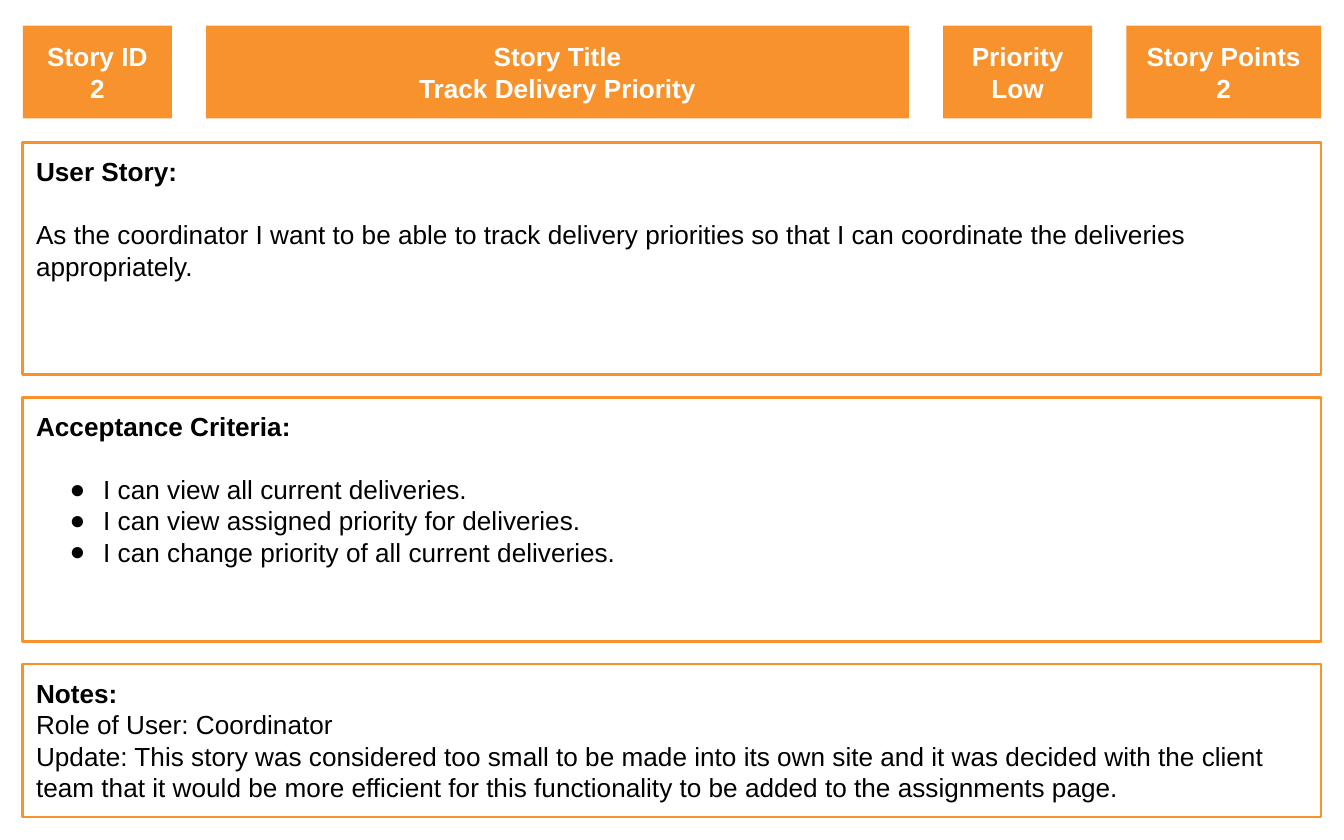
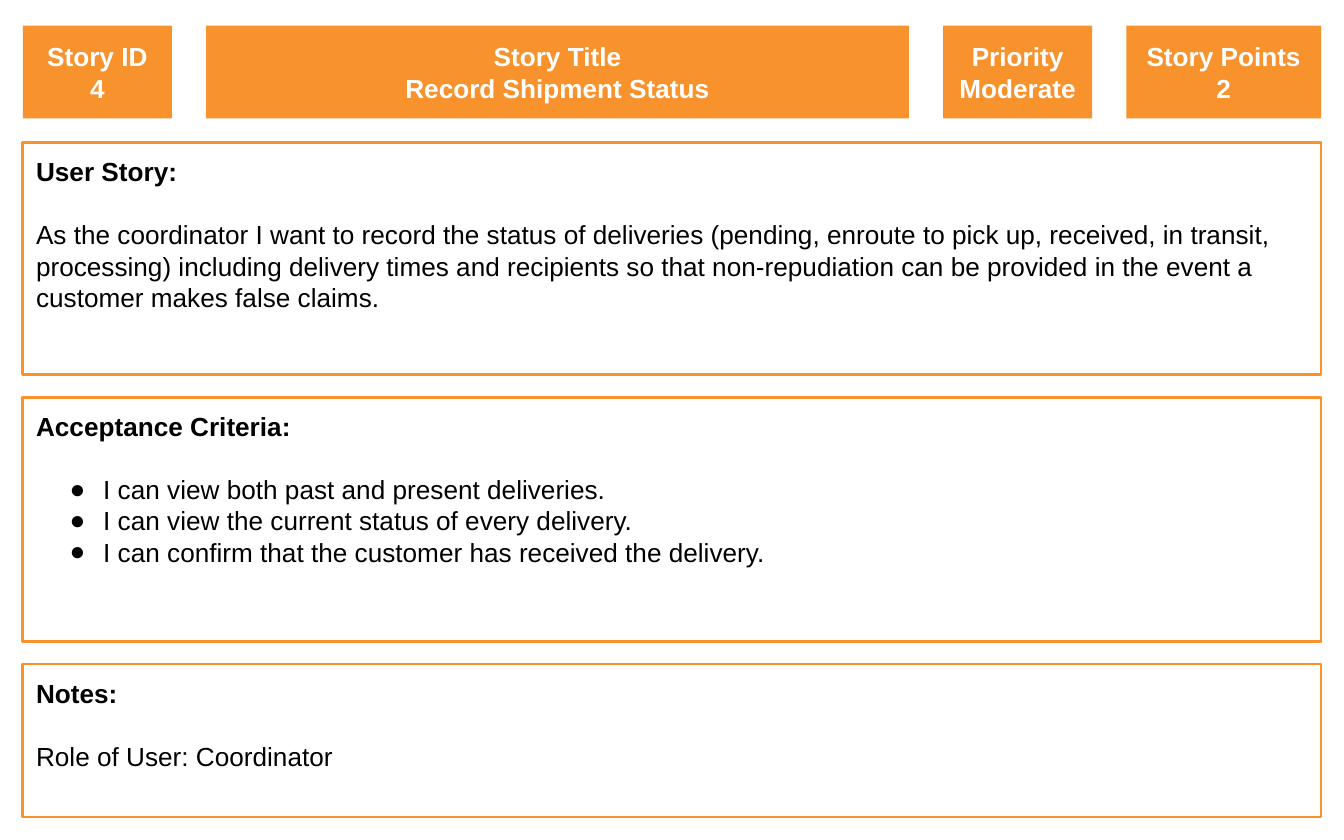
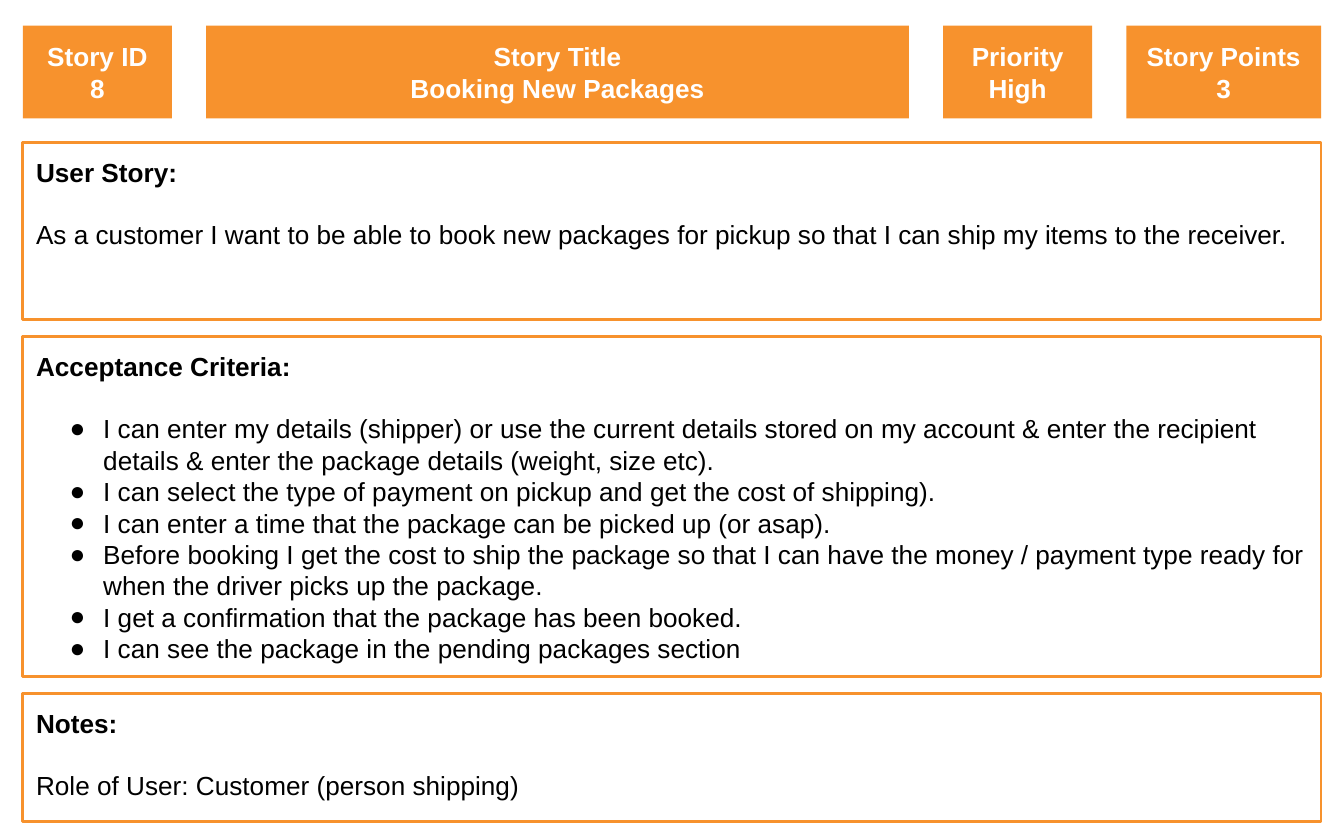
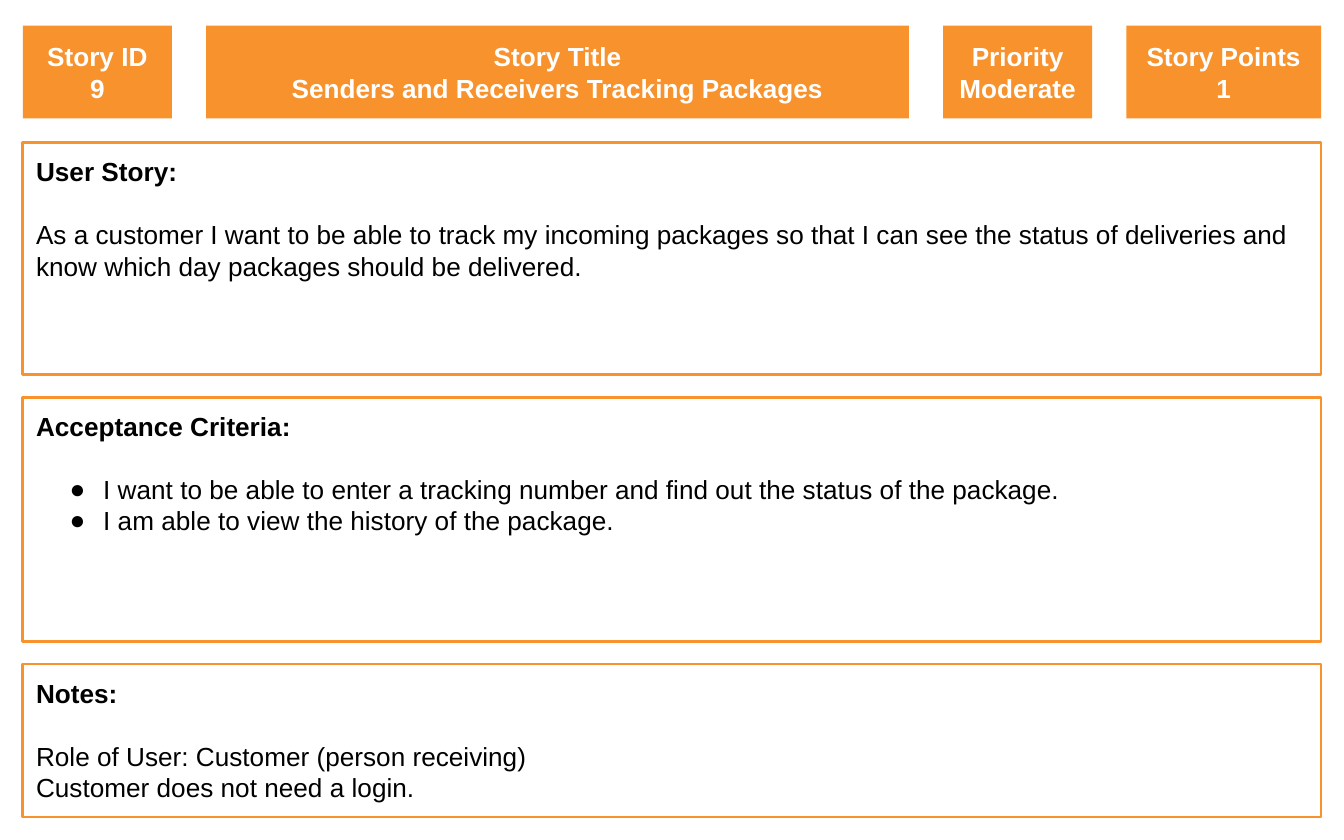
from lxml.etree import SubElement as Sub
from pptx import Presentation
from pptx.dml.color import RGBColor
from pptx.enum.shapes import MSO_SHAPE as Shape
from pptx.enum.text import MSO_ANCHOR as Anchor, PP_ALIGN as Align
from pptx.oxml.ns import qn
from pptx.util import Inches, Pt

ORANGE, WHITE, BLACK = "F7922D", "FFFFFF", "000000"
FONT, SIZE = "Arial", 14
LEFT, WIDTH = 0.17, 9.66
HEAD_TOP, HEAD_HIGH = 0.19, 0.69
BODY_TOP = 1.06
HEADS = [("Story ID", 1.11), ("Story Title", 5.23),
         ("Priority", 1.11), ("Story Points", 1.45)]
GAP = Pt(16.8)  # one line of text
EVEN = (1.73, 1.82, 1.14), 6.08
TALL = (1.32, 2.53, 0.95), 6.11

STORIES = [
    dict(
        heads=["2", "Track Delivery Priority", "Low", "2"],
        story="As the coordinator I want to be able to track delivery priorities "
              "so that I can coordinate the deliveries appropriately.",
        tests=["I can view all current deliveries.",
               "I can view assigned priority for deliveries.",
               "I can change priority of all current deliveries."],
        notes=["Role of User: Coordinator",
               "Update: This story was considered too small to be made into its own "
               "site and it was decided with the client team that it would be more "
               "efficient for this functionality to be added to the assignments page."],
        layout=EVEN, tight=True),
    dict(
        heads=["4", "Record Shipment Status", "Moderate", "2"],
        story="As the coordinator I want to record the status of deliveries (pending, "
              "enroute to pick up, received, in transit, processing) including "
              "delivery times and recipients so that non-repudiation can be provided "
              "in the event a customer makes false claims.",
        tests=["I can view both past and present deliveries.",
               "I can view the current status of every delivery.",
               "I can confirm that the customer has received the delivery."],
        notes=["Role of User: Coordinator"],
        layout=EVEN),
    dict(
        heads=["8", "Booking New Packages", "High", "3"],
        story="As a customer I want to be able to book new packages for pickup so "
              "that I can ship my items to the receiver.",
        tests=["I can enter my details (shipper) or use the current details stored on "
               "my account & enter the recipient details & enter the package details "
               "(weight, size etc).",
               "I can select the type of payment on pickup and get the cost of shipping).",
               "I can enter a time that the package can be picked up (or asap).",
               "Before booking I get the cost to ship the package so that I can have "
               "the money / payment type ready for when the driver picks up the package.",
               "I get a confirmation that the package has been booked.",
               "I can see the package in the pending packages section"],
        notes=["Role of User: Customer (person shipping)"],
        layout=TALL),
    dict(
        heads=["9", "Senders and Receivers Tracking Packages", "Moderate", "1"],
        story="As a customer I want to be able to track my incoming packages so that "
              "I can see the status of deliveries and know which day packages should "
              "be delivered.",
        tests=["I want to be able to enter a tracking number and find out the status "
               "of the package.",
               "I am able to view the history of the package."],
        notes=["Role of User: Customer (person receiving)",
               "Customer does not need a login."],
        layout=EVEN),
]


def color(code):
    return RGBColor.from_string(code)


def spread(start, sizes, end):
    """Yield (start, size) of each item, with equal gaps up to end."""
    gap = (end - start - sum(sizes)) / (len(sizes) - 1)
    for size in sizes:
        yield start, size
        start += size + gap


class Deck:
    """Holds the card style and the current slide."""

    def __init__(self):
        self.prs = Presentation()
        self.prs.slide_width, self.prs.slide_height = Inches(10), Inches(6.25)
        self.slide = None

    def page(self):
        self.slide = self.prs.slides.add_slide(self.prs.slide_layouts[6])

    def box(self, x, y, w, h, fill, anchor):
        """Draw a rectangle and return its text frame."""
        rect = self.slide.shapes.add_shape(
            Shape.RECTANGLE, Inches(x), Inches(y), Inches(w), Inches(h))
        rect.shadow.inherit = False
        rect.fill.solid()
        rect.fill.fore_color.rgb = color(fill)
        if fill == ORANGE:
            rect.line.fill.background()
        else:
            rect.line.color.rgb = color(ORANGE)
            rect.line.width = Pt(1.5)
        frame = rect.text_frame
        frame.word_wrap = True
        frame.vertical_anchor = anchor
        frame.margin_left = frame.margin_right = Inches(0.1)
        frame.margin_top = frame.margin_bottom = Inches(0.1)
        return frame

    def line(self, frame, text, ink, bold=False, align=Align.LEFT, gap=0, dot=False):
        """Write one paragraph, the first one into the empty frame."""
        first = frame.paragraphs[0]
        para = frame.add_paragraph() if first.runs else first
        if dot:
            self.bullet(para)
        para.alignment = align
        if gap:
            para.space_before = gap
        run = para.add_run()
        run.text = text
        run.font.name, run.font.size, run.font.bold = FONT, Pt(SIZE), bold
        run.font.color.rgb = color(ink)

    def bullet(self, para):
        props = para._p.get_or_add_pPr()
        props.set("marL", str(Inches(0.5)))
        props.set("indent", str(Inches(-0.25)))
        Sub(Sub(props, qn("a:buClr")), qn("a:srgbClr"), val=BLACK)
        Sub(props, qn("a:buFont"), typeface=FONT)
        Sub(props, qn("a:buChar"), char="●")

    def header(self, values):
        slots = spread(LEFT, [wide for _, wide in HEADS], LEFT + WIDTH)
        for (label, _), value, (x, wide) in zip(HEADS, values, slots):
            frame = self.box(x, HEAD_TOP, wide, HEAD_HIGH, ORANGE, Anchor.MIDDLE)
            for text in (label, value):
                self.line(frame, text, WHITE, True, Align.CENTER)

    def panel(self, slot, title, lines, dot=False, tight=False):
        top, high = slot
        frame = self.box(LEFT, top, WIDTH, high, WHITE, Anchor.TOP)
        self.line(frame, title, BLACK, True)
        for i, text in enumerate(lines):
            gap = GAP if i == 0 and not tight else 0
            self.line(frame, text, BLACK, gap=gap, dot=dot)

    def card(self, heads, story, tests, notes, layout, tight=False):
        self.page()
        self.header(heads)
        sizes, end = layout
        upper, mid, lower = spread(BODY_TOP, sizes, end)
        self.panel(upper, "User Story:", [story])
        self.panel(mid, "Acceptance Criteria:", tests, dot=True)
        self.panel(lower, "Notes:", notes, tight=tight)


def main():
    deck = Deck()
    for story in STORIES:
        deck.card(**story)
    deck.prs.save("out.pptx")


if __name__ == "__main__":
    main()
